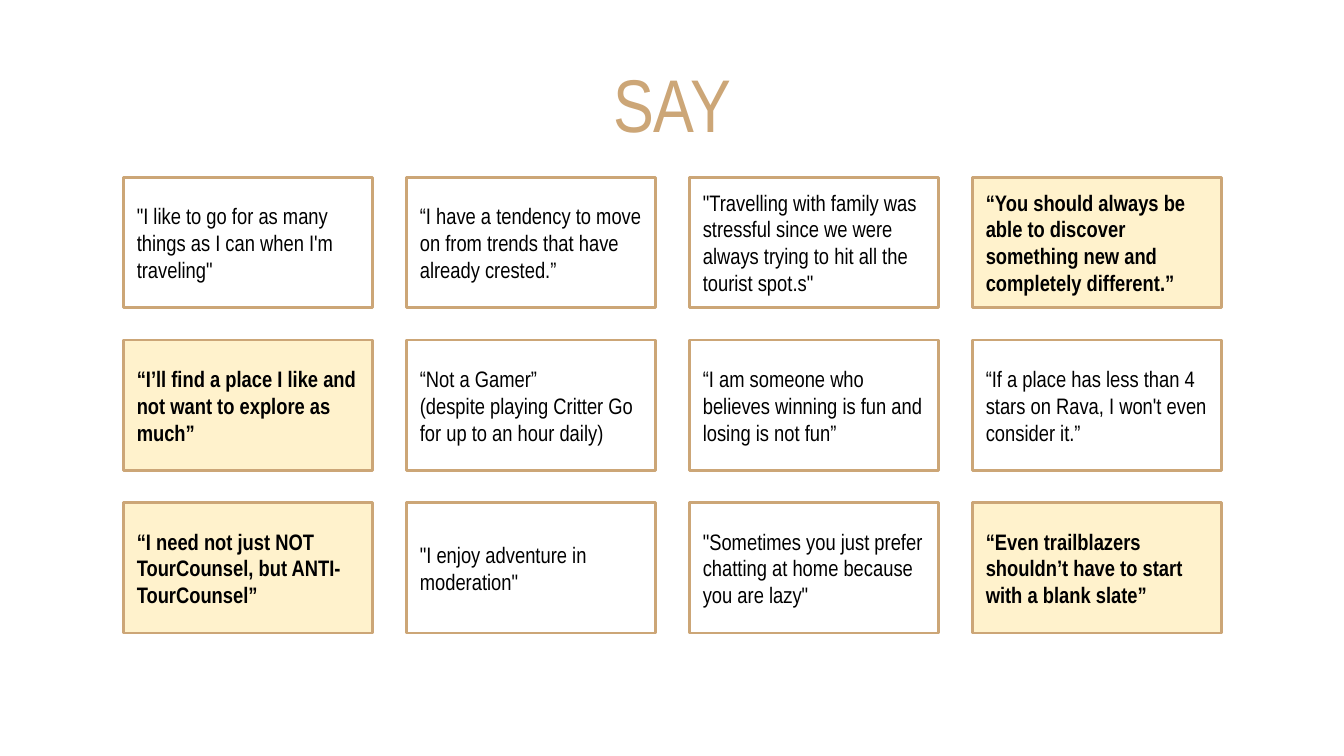
from pptx import Presentation
from pptx.dml.color import RGBColor
from pptx.enum.shapes import MSO_SHAPE
from pptx.enum.text import MSO_ANCHOR, PP_ALIGN
from pptx.util import Pt

RECT = MSO_SHAPE.RECTANGLE
MIDDLE, BOTTOM = MSO_ANCHOR.MIDDLE, MSO_ANCHOR.BOTTOM
LEFT, CENTER = PP_ALIGN.LEFT, PP_ALIGN.CENTER

COLORS = {"tan": "CCA677", "cream": "FFF2CC", "black": "000000"}
FONT = "Arial Narrow"
INSET = 7.2

WIDTH, HEIGHT = 720, 405
CARD_W, CARD_H = 133.2, 69.8
GRID_X, GRID_Y = 66.2, 95
STEP_X, STEP_Y = 151.6, 87.2

QUOTES = [
    [
        ("\"I like to go for as many things as I can when I'm traveling\"", False),
        ("“I have a tendency to move on from trends that have already crested.”", False),
        ('"Travelling with family was stressful since we were always trying to hit all the tourist spot.s"', False),
        ("“You should always be able to discover something new and completely different.”", True),
    ],
    [
        ("“I’ll find a place I like and not want to explore as much”", True),
        ("“Not a Gamer”\n(despite playing Critter Go for up to an hour daily)", False),
        ("“I am someone who believes winning is fun and losing is not fun”", False),
        ("“If a place has less than 4 stars on Rava, I won't even consider it.”", False),
    ],
    [
        ("“I need not just NOT TourCounsel, but ANTI-TourCounsel”", True),
        ('"I enjoy adventure in moderation"', False),
        ('"Sometimes you just prefer chatting at home because you are lazy"', False),
        ("“Even trailblazers shouldn’t have to start with a blank slate”", True),
    ],
]


class Deck:
    """Holds the style and the current slide, and draws each kind of element."""

    def __init__(self):
        self.prs = Presentation()
        self.prs.slide_width, self.prs.slide_height = Pt(WIDTH), Pt(HEIGHT)
        self.slide = self.prs.slides.add_slide(self.prs.slide_layouts[6])

    def color(self, name):
        return RGBColor.from_string(COLORS[name])

    def label(self, shape, text, size, color, align, anchor, bold=False):
        frame = shape.text_frame
        frame.word_wrap = True
        frame.vertical_anchor = anchor
        frame.margin_left = frame.margin_right = Pt(INSET)
        frame.margin_top = frame.margin_bottom = Pt(INSET)
        para = frame.paragraphs[0]
        para.text = text
        para.alignment = align
        para.font.name, para.font.size, para.font.bold = FONT, Pt(size), bold
        para.font.color.rgb = self.color(color)

    def title(self, text, x, y, w, h):
        box = self.slide.shapes.add_textbox(Pt(x), Pt(y), Pt(w), Pt(h))
        self.label(box, text, 40, "tan", CENTER, BOTTOM)

    def card(self, text, key, x, y):
        card = self.slide.shapes.add_shape(RECT, Pt(x), Pt(y), Pt(CARD_W), Pt(CARD_H))
        card.shadow.inherit = False
        if key:
            card.fill.solid()
            card.fill.fore_color.rgb = self.color("cream")
        else:
            card.fill.background()
        card.line.color.rgb = self.color("tan")
        card.line.width = Pt(1.5)
        self.label(card, text, 12, "black", LEFT, MIDDLE, key)


def main():
    deck = Deck()
    deck.title("SAY", 0, 26, WIDTH, 60)
    for row, quotes in enumerate(QUOTES):
        for col, (text, key) in enumerate(quotes):
            deck.card(text, key, GRID_X + col * STEP_X, GRID_Y + row * STEP_Y)
    deck.prs.save("out.pptx")


if __name__ == "__main__":
    main()
